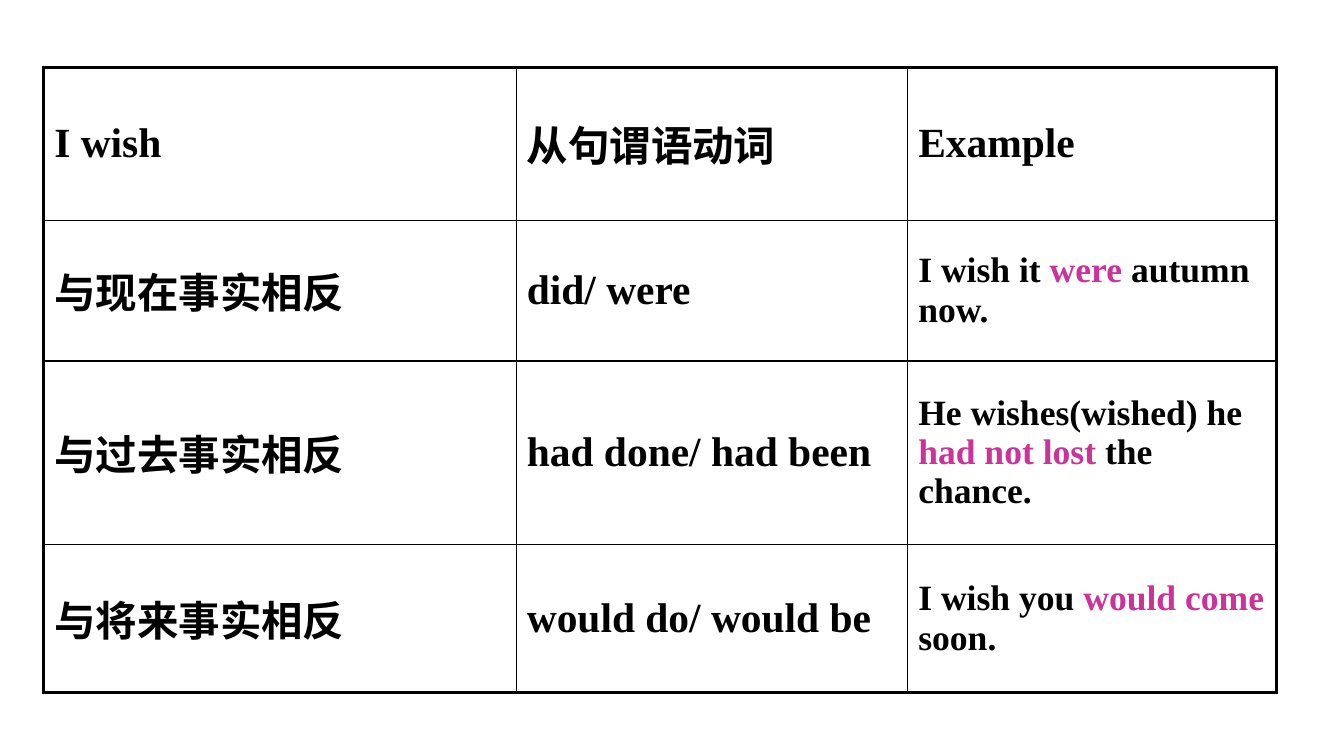
from dataclasses import dataclass

from lxml import etree
from pptx import Presentation, util as u
from pptx.dml.color import RGBColor
from pptx.enum import text
from pptx.oxml import ns
from pptx.slide import Slide
from pptx.table import Table, _Cell


@dataclass(frozen=True)
class Theme:
    font: str = "Times New Roman"
    ink: str = "000000"
    accent: str = "CC3399"
    label_size: int = 28
    example_size: int = 24
    outer_line: float = 2.25
    inner_line: float = 1


@dataclass(frozen=True)
class Run:
    text: str
    highlighted: bool = False


@dataclass(frozen=True)
class WishRow:
    meaning: str
    verb_form: str
    example: tuple[Run, ...]


THEME = Theme()
SLIDE_WIDTH, SLIDE_HEIGHT = u.Inches(12.6), u.Inches(7.09)
LEFT_PERCENT, TOP_PERCENT = 3.25, 8.95
COLUMN_PERCENTS = (35.16, 29.13, 27.46)
ROW_PERCENTS = (20.17, 18.62, 24.26, 19.61)

HEADINGS = ("I wish", "从句谓语动词", "Example")
WISH_ROWS = (
    WishRow("与现在事实相反", "did/ were",
            (Run("I wish it "), Run("were ", True), Run("autumn now."))),
    WishRow("与过去事实相反", "had done/ had been",
            (Run("He wishes(wished) he "), Run("had not lost", True), Run(" the chance."))),
    WishRow("与将来事实相反", "would do/ would be",
            (Run("I wish you "), Run("would come", True), Run(" soon."))),
)


def across(percent: float) -> u.Emu:
    return u.Emu(round(SLIDE_WIDTH * percent / 100))


def down(percent: float) -> u.Emu:
    return u.Emu(round(SLIDE_HEIGHT * percent / 100))


def add_wish_table(slide: Slide) -> Table:
    frame = slide.shapes.add_table(
        len(ROW_PERCENTS), len(COLUMN_PERCENTS),
        across(LEFT_PERCENT), down(TOP_PERCENT),
        across(sum(COLUMN_PERCENTS)), down(sum(ROW_PERCENTS)))
    table = frame.table
    table.first_row = table.horz_banding = False
    for column, percent in zip(table.columns, COLUMN_PERCENTS):
        column.width = across(percent)
    for row, percent in zip(table.rows, ROW_PERCENTS):
        row.height = down(percent)
    return table


def draw_borders(cell: _Cell, row: int, column: int) -> None:
    outer_sides = {
        "lnL": column == 0,
        "lnR": column == len(COLUMN_PERCENTS) - 1,
        "lnT": row == 0,
        "lnB": row == len(ROW_PERCENTS) - 1,
    }
    properties = cell._tc.get_or_add_tcPr()
    for side, is_outer in outer_sides.items():
        width = THEME.outer_line if is_outer else THEME.inner_line
        line = etree.SubElement(properties, ns.qn(f"a:{side}"), w=str(u.Pt(width)))
        fill = etree.SubElement(line, ns.qn("a:solidFill"))
        etree.SubElement(fill, ns.qn("a:srgbClr"), val=THEME.ink)


def write_cell(cell: _Cell, runs: tuple[Run, ...], size: int) -> None:
    cell.fill.background()
    cell.vertical_anchor = text.MSO_ANCHOR.MIDDLE
    paragraph = cell.text_frame.paragraphs[0]
    for part in runs:
        run = paragraph.add_run()
        run.text = part.text
        run.font.name = THEME.font
        run.font.size = u.Pt(size)
        run.font.bold = True
        color = THEME.accent if part.highlighted else THEME.ink
        run.font.color.rgb = RGBColor.from_string(color)


def main() -> None:
    presentation = Presentation()
    presentation.slide_width, presentation.slide_height = SLIDE_WIDTH, SLIDE_HEIGHT
    slide = presentation.slides.add_slide(presentation.slide_layouts[6])
    table = add_wish_table(slide)

    contents = [tuple((Run(heading),) for heading in HEADINGS)]
    contents += [((Run(wish.meaning),), (Run(wish.verb_form),), wish.example)
                 for wish in WISH_ROWS]
    for row, cells in enumerate(contents):
        for column, runs in enumerate(cells):
            cell = table.cell(row, column)
            draw_borders(cell, row, column)
            is_example = row > 0 and column == len(HEADINGS) - 1
            write_cell(cell, runs, THEME.example_size if is_example else THEME.label_size)

    presentation.save("out.pptx")


if __name__ == "__main__":
    main()
